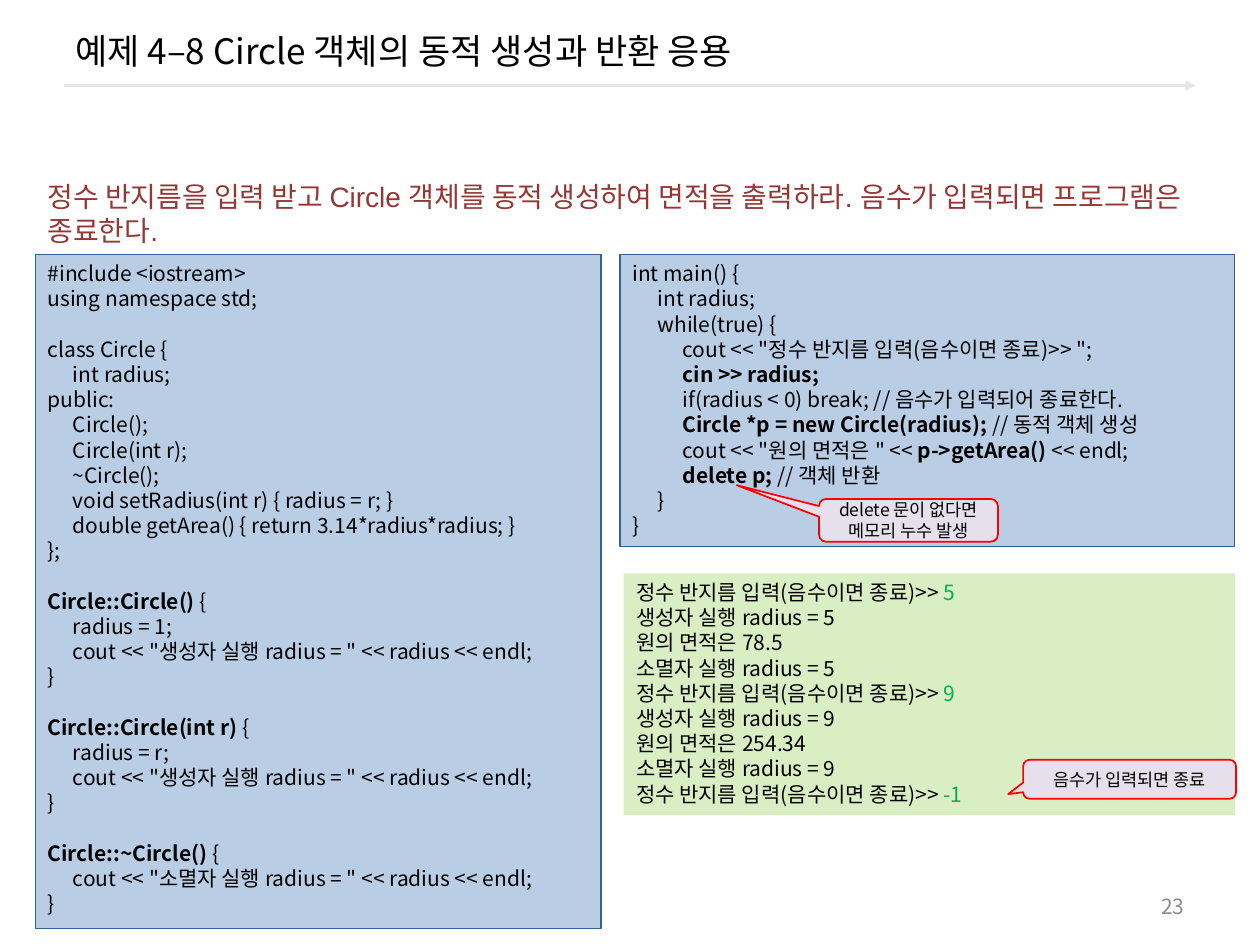
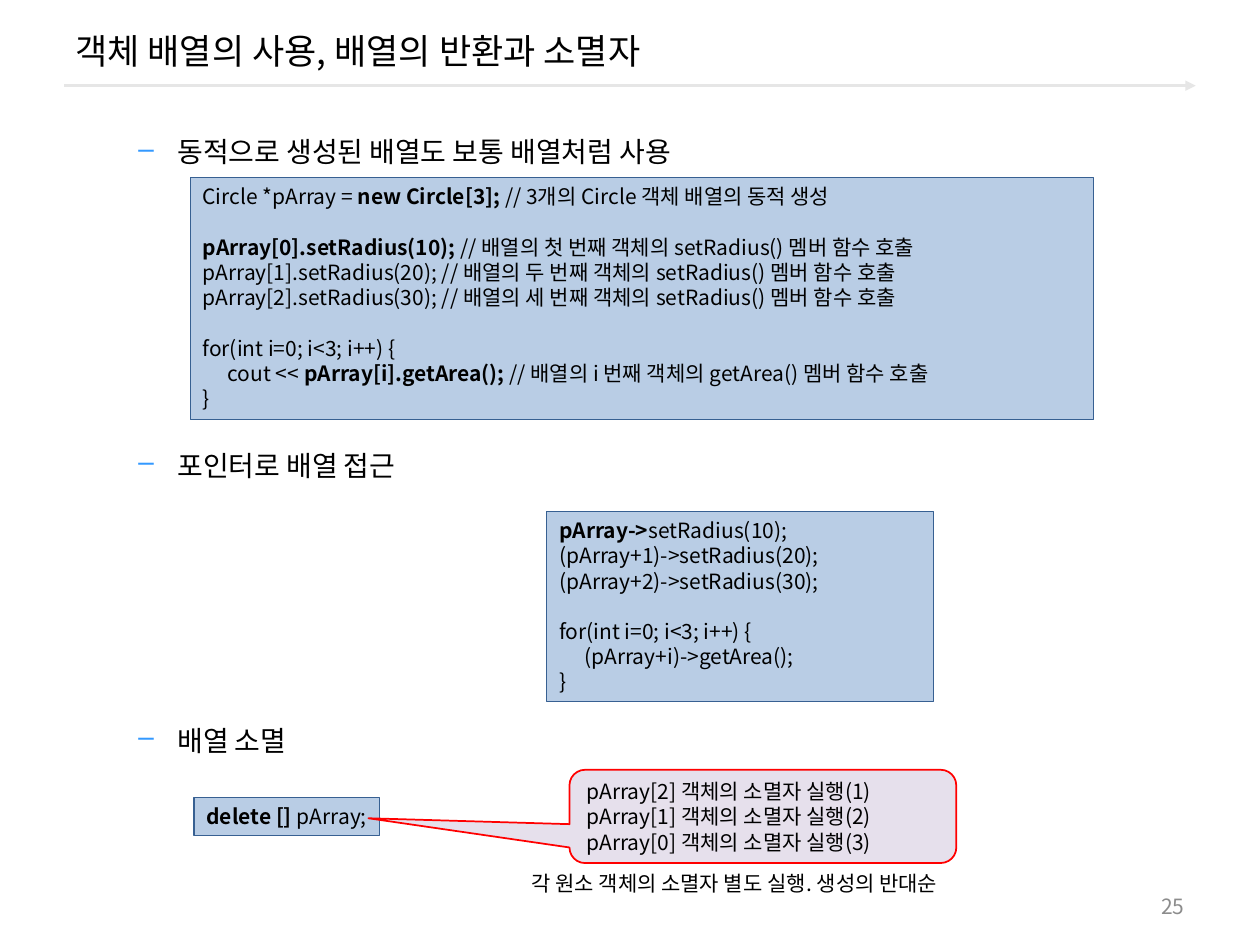
from lxml import etree
from pptx import Presentation
from pptx import util as u
from pptx.dml.color import RGBColor
from pptx.enum import shapes, text
from pptx.oxml import ns

BLACK = RGBColor(0x00, 0x00, 0x00)
RULE_GRAY = RGBColor(0xE6, 0xE6, 0xE6)
NUMBER_GRAY = RGBColor(0x8C, 0x8C, 0x8C)
CODE_BLUE = RGBColor(0xB9, 0xCD, 0xE5)
CODE_EDGE = RGBColor(0x37, 0x60, 0x92)
CONSOLE_GREEN = RGBColor(0xDA, 0xEE, 0xC4)
INPUT_GREEN = RGBColor(0x00, 0xB0, 0x50)
CALLOUT_LILAC = RGBColor(0xE6, 0xE0, 0xEC)
CALLOUT_RED = RGBColor(0xFF, 0x00, 0x00)
QUESTION_RED = RGBColor(0x95, 0x37, 0x35)

CODE_FONT = "Noto Sans CJK KR"
BODY_FONT = "Arial"
LINE_FACTOR = 1.2
TAB_STEP = 0.2

CLASS_CODE = '''#include <iostream>
using namespace std;

class Circle {
\tint radius;
public:
\tCircle();
\tCircle(int r);
\t~Circle();
\tvoid setRadius(int r) { radius = r; }
\tdouble getArea() { return 3.14*radius*radius; }
};

**Circle::Circle() **{
\tradius = 1;
\tcout << "생성자 실행 radius = " << radius << endl;
}

**Circle::Circle(int r) **{
\tradius = r;
\tcout << "생성자 실행 radius = " << radius << endl;
}

**Circle::~Circle() **{
\tcout << "소멸자 실행 radius = " << radius << endl;
}'''

MAIN_CODE = '''int main() {
\tint radius;
\twhile(true) {
\t\tcout << "정수 반지름 입력(음수이면 종료)>> ";
\t\t**cin >> radius;**
\t\tif(radius < 0) break; // 음수가 입력되어 종료한다.
\t\t**Circle *p = new Circle(radius); **// 동적 객체 생성
\t\tcout << "원의 면적은 " << **p->getArea() **<< endl;
\t\t**delete p; **// 객체 반환
\t}
}'''

CONSOLE_OUTPUT = '''정수 반지름 입력(음수이면 종료)>> **5**
생성자 실행 radius = 5
원의 면적은 78.5
소멸자 실행 radius = 5
정수 반지름 입력(음수이면 종료)>> **9**
생성자 실행 radius = 9
원의 면적은 254.34
소멸자 실행 radius = 9
정수 반지름 입력(음수이면 종료)>> **-1**'''

ARRAY_CODE = '''Circle *pArray = **new Circle[3]; **// 3개의 Circle 객체 배열의 동적 생성

**pArray[0].setRadius(10); **// 배열의 첫 번째 객체의 setRadius() 멤버 함수 호출
pArray[1].setRadius(20); // 배열의 두 번째 객체의 setRadius() 멤버 함수 호출
pArray[2].setRadius(30); // 배열의 세 번째 객체의 setRadius() 멤버 함수 호출

for(int i=0; i<3; i++) {
\tcout << **pArray[i].getArea(); **// 배열의 i 번째 객체의 getArea() 멤버 함수 호출
}'''

POINTER_CODE = '''**pArray->**setRadius(10);
(pArray+1)->setRadius(20);
(pArray+2)->setRadius(30);

for(int i=0; i<3; i++) {
\t(pArray+i)->getArea();
}'''

DESTRUCTION_ORDER = '''pArray[2] 객체의 소멸자 실행(1)
pArray[1] 객체의 소멸자 실행(2)
pArray[0] 객체의 소멸자 실행(3)'''


def add_child(parent, tag, **attributes):
    return etree.SubElement(parent, ns.qn(tag), attributes)


def add_tab_stops(paragraph):
    tab_list = add_child(paragraph._p.get_or_add_pPr(), "a:tabLst")
    for level in (1, 2):
        add_child(tab_list, "a:tab", pos=str(u.Inches(TAB_STEP * level)), algn="l")


def add_dash_bullet(paragraph):
    properties = paragraph._p.get_or_add_pPr()
    properties.set("marL", str(u.Inches(0.81)))
    properties.set("indent", str(u.Inches(-0.31)))
    add_child(add_child(properties, "a:buClr"), "a:srgbClr", val="3399FF")
    add_child(properties, "a:buChar", char="–")


def write_text(shape, content, size=12, font=CODE_FONT, color=BLACK, align=text.PP_ALIGN.LEFT,
               anchor=text.MSO_ANCHOR.TOP, wrap=True, highlight=None, decorate=None):
    """Write lines; ** switches emphasis (bold, or the highlight colour), empty lines become space."""
    frame = shape.text_frame
    frame.word_wrap = wrap
    frame.vertical_anchor = anchor
    if anchor == text.MSO_ANCHOR.MIDDLE:
        frame.margin_top = frame.margin_bottom = 0
    line_height = u.Pt(size * LINE_FACTOR)
    paragraph = None
    gap = 0
    for line in content.split("\n"):
        if not line:
            gap = line_height
            continue
        paragraph = frame.add_paragraph() if paragraph else frame.paragraphs[0]
        paragraph.alignment = align
        paragraph.line_spacing = line_height
        paragraph.space_before = gap
        gap = 0
        if decorate:
            decorate(paragraph)
        for index, part in enumerate(line.split("**")):
            if not part:
                continue
            emphasis = index % 2 == 1
            run = paragraph.add_run()
            run.text = part
            run.font.size = u.Pt(size)
            run.font.name = font
            run.font.bold = emphasis and highlight is None
            run.font.color.rgb = highlight if emphasis and highlight else color


def add_label(slide, box, content, **text_format):
    shape = slide.shapes.add_textbox(*map(u.Inches, box))
    write_text(shape, content, **text_format)


def add_panel(slide, kind, box, fill, edge=None, edge_width=0.75):
    shape = slide.shapes.add_shape(kind, *map(u.Inches, box))
    shape.shadow.inherit = False
    shape.fill.solid()
    shape.fill.fore_color.rgb = fill
    if edge is None:
        shape.line.fill.background()
    else:
        shape.line.color.rgb = edge
        shape.line.width = u.Pt(edge_width)
    return shape


def add_code(slide, box, content, **text_format):
    panel = add_panel(slide, shapes.MSO_SHAPE.RECTANGLE, box, CODE_BLUE, CODE_EDGE)
    write_text(panel, content, decorate=add_tab_stops, **text_format)


def add_console(slide, box, content):
    panel = add_panel(slide, shapes.MSO_SHAPE.RECTANGLE, box, CONSOLE_GREEN)
    write_text(panel, content, highlight=INPUT_GREEN)


def add_callout(slide, box, pointer, content, size=10, align=text.PP_ALIGN.CENTER):
    """Place a callout whose pointer tip is a fraction of its size away from its centre."""
    callout = add_panel(slide, shapes.MSO_SHAPE.ROUNDED_RECTANGULAR_CALLOUT, box,
                        CALLOUT_LILAC, CALLOUT_RED, 1)
    callout.adjustments[0], callout.adjustments[1] = pointer
    write_text(callout, content, size=size, align=align, anchor=text.MSO_ANCHOR.MIDDLE)


def add_title_rule(slide):
    rule = slide.shapes.add_connector(shapes.MSO_CONNECTOR.STRAIGHT,
                                      *map(u.Inches, (0.51, 0.68, 9.49, 0.68)))
    rule.line.color.rgb = RULE_GRAY
    rule.line.width = u.Pt(1.5)
    add_child(rule.line._get_or_add_ln(), "a:tailEnd", type="triangle")
    add_child(rule._element.spPr, "a:effectLst")


def add_base_slide(presentation, title, number):
    slide = presentation.slides.add_slide(presentation.slide_layouts[6])
    add_title_rule(slide)
    add_label(slide, (0.5, 0.08, 9, 0.64), title, size=20, anchor=text.MSO_ANCHOR.MIDDLE)
    add_label(slide, (7.17, 7.03, 2.33, 0.32), str(number), color=NUMBER_GRAY,
              align=text.PP_ALIGN.RIGHT, anchor=text.MSO_ANCHOR.MIDDLE)
    return slide


def build_example_slide(presentation):
    slide = add_base_slide(presentation, "예제 4–8 Circle 객체의 동적 생성과 반환 응용", 23)
    add_console(slide, (4.95, 4.55, 4.85, 1.92), CONSOLE_OUTPUT)
    add_code(slide, (0.28, 2.02, 4.49, 5.35), CLASS_CODE)
    add_code(slide, (4.92, 2.02, 4.88, 2.32), MAIN_CODE)
    add_callout(slide, (6.5, 3.96, 1.42, 0.34), (-0.96, -0.82),
                "delete 문이 없다면\n메모리 누수 발생")
    add_callout(slide, (8.12, 6.03, 1.69, 0.31), (-0.57, 0.38), "음수가 입력되면 종료")
    add_label(slide, (0.28, 1.38, 9.29, 0.64),
              "정수 반지름을 입력 받고 Circle 객체를 동적 생성하여 면적을 출력하라. "
              "음수가 입력되면 프로그램은 종료한다.",
              size=16, font=BODY_FONT, color=QUESTION_RED)


def build_array_slide(presentation):
    slide = add_base_slide(presentation, "객체 배열의 사용, 배열의 반환과 소멸자", 25)
    headings = {1.02: "동적으로 생성된 배열도 보통 배열처럼 사용",
                3.51: "포인터로 배열 접근",
                5.69: "배열 소멸"}
    for top, heading in headings.items():
        add_label(slide, (0.5, top, 9, 0.36), heading, size=16, font=BODY_FONT,
                  decorate=add_dash_bullet)
    add_code(slide, (1.51, 1.41, 7.17, 1.92), ARRAY_CODE)
    add_code(slide, (4.34, 4.06, 3.07, 1.51), POINTER_CODE)
    add_code(slide, (1.54, 6.33, 1.47, 0.3), "**delete [] **pArray;", wrap=False)
    add_callout(slide, (4.52, 6.11, 3.07, 0.74), (-1.02, 0.02), DESTRUCTION_ORDER,
                size=12, align=text.PP_ALIGN.LEFT)
    add_label(slide, (4.12, 6.86, 3.85, 0.3),
              "각 원소 객체의 소멸자 별도 실행. 생성의 반대순", wrap=False)


def main():
    presentation = Presentation()
    presentation.slide_width = u.Inches(10)
    presentation.slide_height = u.Inches(7.5)
    build_example_slide(presentation)
    build_array_slide(presentation)
    presentation.save("out.pptx")


if __name__ == "__main__":
    main()
